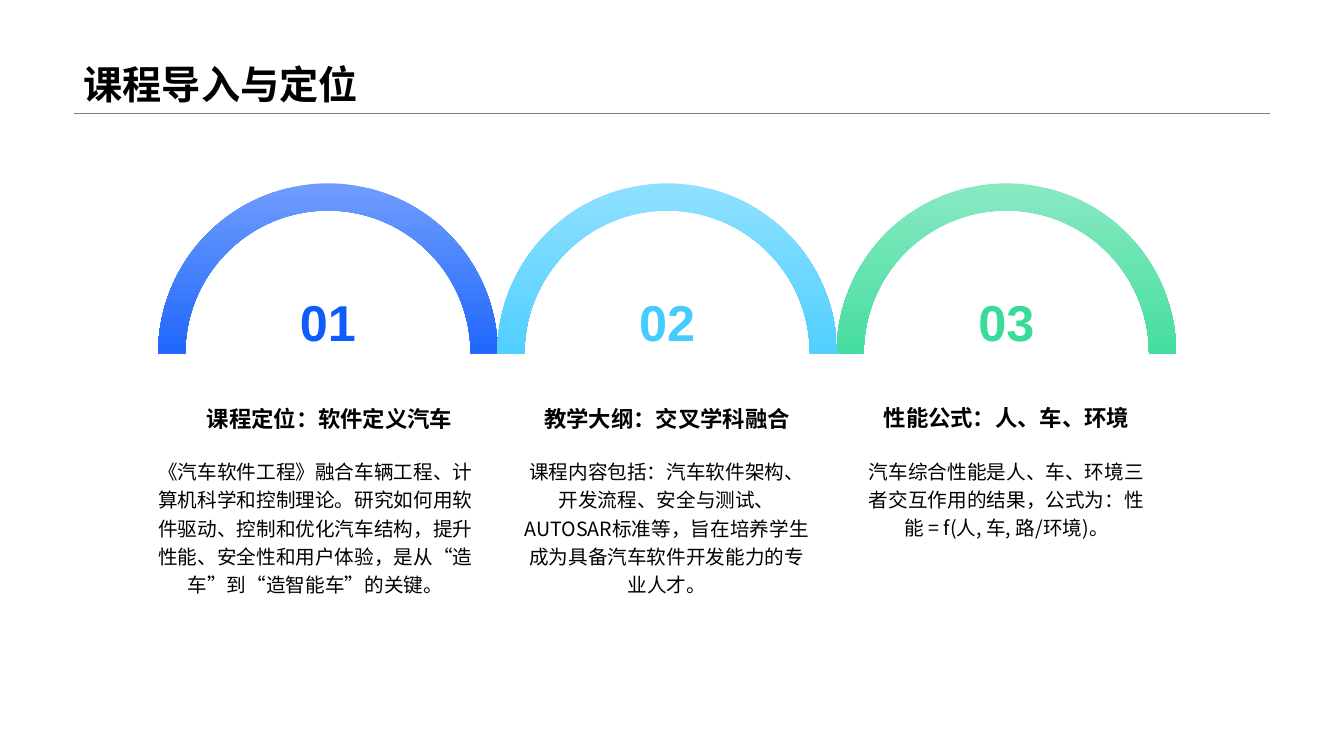
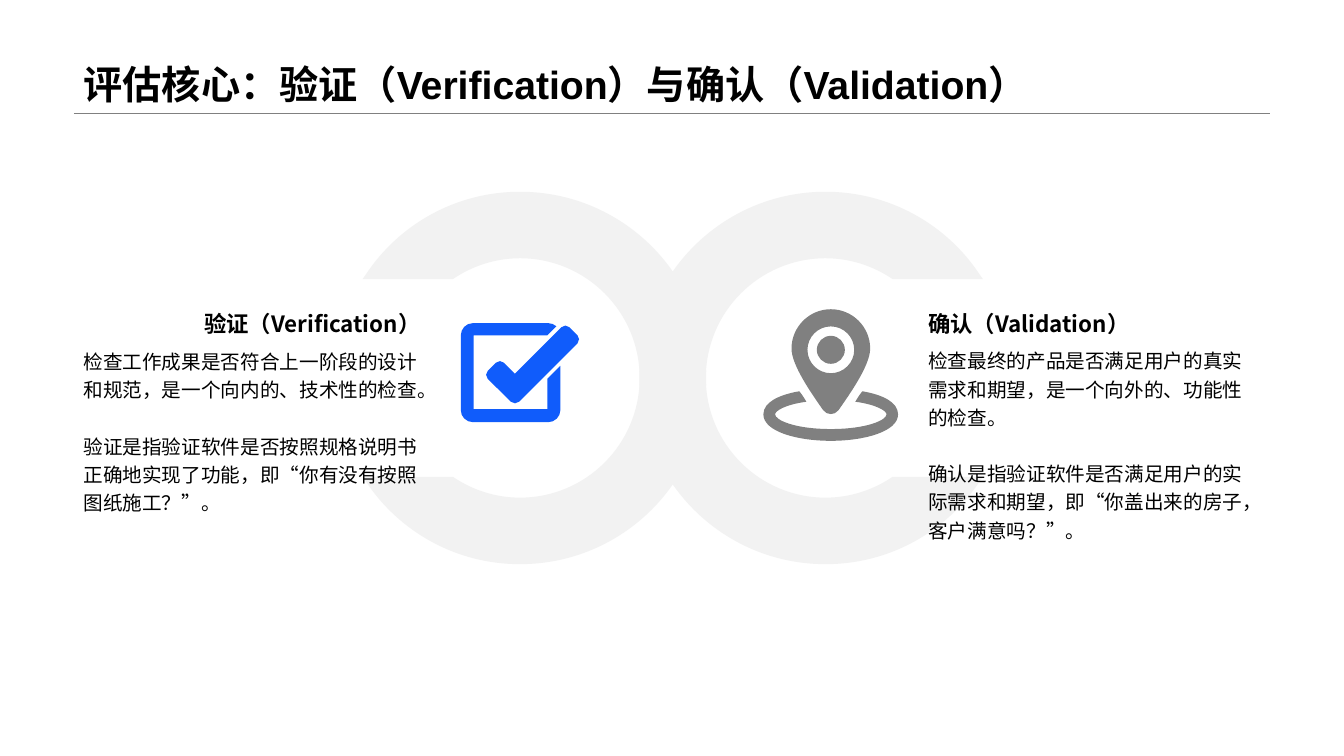
from lxml import etree
from pptx import Presentation
from pptx.dml.color import RGBColor
from pptx.enum import shapes as s, text as t
from pptx.oxml.ns import qn
from pptx.util import Pt

BLACK, GREY, PALE, BLUE = "000000", "808080", "F2F2F2", "105CFB"
LATIN, CHINESE = "Arial", "Noto Sans CJK SC"
MARGIN = 52.55
color = RGBColor.from_string
ALIGN, ANCHOR = t.PP_ALIGN, t.MSO_ANCHOR


def write_text(shape, paragraphs, size, name=CHINESE, fill=BLACK, bold=False, align=ALIGN.LEFT,
               anchor=ANCHOR.TOP, spacing=1.0, gap=0, wrap=True, fit=t.MSO_AUTO_SIZE.SHAPE_TO_FIT_TEXT):
    """Fill a shape with equally formatted paragraphs, gap points apart."""
    frame = shape.text_frame
    frame.word_wrap = wrap
    frame.auto_size = fit
    frame.vertical_anchor = anchor
    for index, words in enumerate(paragraphs):
        paragraph = frame.add_paragraph() if index else frame.paragraphs[0]
        paragraph.alignment = align
        paragraph.line_spacing = spacing
        paragraph.space_before = Pt(gap if index else 0)
        run = paragraph.add_run()
        run.text = words
        run.font.size = Pt(size)
        run.font.bold = bold
        run.font.name = name
        run.font.color.rgb = color(fill)
        east_asian = etree.SubElement(run.font._element, qn("a:ea"))
        east_asian.set("typeface", CHINESE)


def draw_outline(slide, contours, fill):
    """Draw closed contours; a pair is a corner, six numbers are a cubic curve."""
    builder = None
    for contour in contours:
        corners = [(Pt(step[-2]), Pt(step[-1])) for step in contour]
        if builder is None:
            builder = slide.shapes.build_freeform(*corners[0])
        else:
            builder.move_to(*corners[0])
        builder.add_line_segments(corners[1:], close=True)
    shape = builder.convert_to_shape()
    steps = [step for contour in contours for step in contour[1:]]
    segments = list(shape._element.iter(qn("a:lnTo")))
    for segment, step in zip(segments, steps):
        if len(step) == 6:
            curve = etree.Element(qn("a:cubicBezTo"))
            for x, y in zip(step[::2], step[1::2]):
                point = etree.SubElement(curve, qn("a:pt"))
                point.set("x", str(Pt(x) - shape.left))
                point.set("y", str(Pt(y) - shape.top))
            segment.getparent().replace(segment, curve)
    shape.shadow.inherit = False
    shape.fill.solid()
    shape.fill.fore_color.rgb = color(fill)
    shape.line.fill.background()


presentation = Presentation()
presentation.slide_width, presentation.slide_height = Pt(960), Pt(540)
layout = presentation.slide_layouts[5]

# Titles of both slides
slides = []
for title_text in ("课程导入与定位", "评估核心：验证（Verification）与确认（Validation）"):
    slide = presentation.slides.add_slide(layout)
    title = slide.shapes.title
    title.left, title.top, title.width, title.height = Pt(MARGIN), Pt(0), Pt(854.6), Pt(80.8)
    write_text(title, [title_text], 28, LATIN, bold=True, anchor=ANCHOR.BOTTOM, spacing=0.9,
               fit=t.MSO_AUTO_SIZE.NONE)
    slides.append(slide)
course, review = slides

# The rule below the title belongs to the layout
rule = course.shapes.add_connector(s.MSO_CONNECTOR.STRAIGHT, Pt(52.8), Pt(80.8), Pt(907.2), Pt(80.8))
rule.line.color.rgb = color(GREY)
rule.line.width = Pt(0.25)
etree.SubElement(rule._element.spPr, qn("a:effectLst"))
layout.shapes._spTree.append(rule._element)

# Slide 1: three arches with a numbered topic each
ARCH, PITCH = 242.6, 242.3
topics = [
    ("709DFD", BLUE, 124, 285.4, "课程定位：软件定义汽车", 104.1, 242.6, 321.7,
     "《汽车软件工程》融合车辆工程、计算机科学和控制理论。研究如何用软件驱动、控制和优化汽车结构，"
     "提升性能、安全性和用户体验，是从“造车”到“造智能车”的关键。"),
    ("8FE0FF", "44CCFF", 365, 285.4, "教学大纲：交叉学科融合", 365, 222.5, 321.7,
     "课程内容包括：汽车软件架构、开发流程、安全与测试、AUTOSAR标准等，"
     "旨在培养学生成为具备汽车软件开发能力的专业人才。"),
    ("88E9C2", "38DB99", 607.5, 285, "性能公式：人、车、环境", 607.7, 222.5, 321.3,
     "汽车综合性能是人、车、环境三者交互作用的结果，公式为：性能 = f(人, 车, 路/环境)。"),
]
for index, (light, strong, heading_left, heading_top, heading,
            body_left, body_width, body_top, body) in enumerate(topics):
    left = 113 + index * PITCH
    arch = course.shapes.add_shape(s.MSO_SHAPE.BLOCK_ARC, Pt(left), Pt(131), Pt(ARCH), Pt(ARCH))
    arch.shadow.inherit = False
    for position, value in enumerate((108, 0, 0.08)):
        arch.adjustments[position] = value
    arch.fill.gradient()
    arch.fill.gradient_angle = 270
    for stop, position, shade in zip(arch.fill.gradient_stops, (0, 0.6), (light, strong)):
        stop.position = position
        stop.color.rgb = color(shade)
    arch.line.fill.background()

    number = course.shapes.add_textbox(Pt(left + ARCH / 2 - 27.4), Pt(204), Pt(54.8), Pt(51))
    write_text(number, [f"{index + 1:02}"], 36, LATIN, strong, True, ALIGN.CENTER,
               ANCHOR.MIDDLE, wrap=False)
    heading_box = course.shapes.add_textbox(Pt(heading_left), Pt(heading_top), Pt(223), Pt(26.6))
    write_text(heading_box, [heading], 16, bold=True, align=ALIGN.CENTER, anchor=ANCHOR.BOTTOM)
    body_box = course.shapes.add_textbox(Pt(body_left), Pt(body_top), Pt(body_width), Pt(107.3))
    write_text(body_box, [body], 14, align=ALIGN.CENTER, spacing=1.2)

# Slide 2: two rings, each open towards its text; steps are offsets from the centre
ring = [(0, -133), (46, -133, 86.5, -109.5, 110, -74), (112.4, -70.6), (48.4, -70.6),
        (47.6, -70.8), (34, -80, 17.5, -85.5, 0, -85.5),
        (-47.2, -85.5, -85.5, -47.2, -85.5, 0), (-85.5, 47.2, -47.2, 85.5, 0, 85.5),
        (17.5, 85.5, 34, 80, 47.6, 70.8), (48.4, 70.6), (112.4, 70.6), (110, 74),
        (86.5, 109.5, 46, 133, 0, 133), (-73.5, 133, -133, 73.5, -133, 0),
        (-133, -73.5, -73.5, -133, 0, -133)]
for center_x, direction in ((589.7, 1), (371.4, -1)):
    placed = [[270 + value if axis % 2 else center_x + direction * value
               for axis, value in enumerate(step)] for step in ring]
    draw_outline(review, [placed], PALE)

tick = [(403.9, 232.6), (405, 232.6, 406, 233, 406.8, 233.8), (412.6, 239.6),
        (414, 241, 414, 243.6, 412.6, 245.2), (370.8, 287),
        (369.2, 288.5, 366.6, 288.5, 365, 287), (348.4, 270.6),
        (346.9, 269, 346.9, 266.5, 348.4, 265), (354.3, 259.1),
        (355.8, 257.6, 358.4, 257.6, 360, 259.1), (367.9, 267), (401, 233.8),
        (401.8, 233, 402.8, 232.6, 403.9, 232.6)]
check_frame = [(338, 230.8), (391.5, 230.8), (393.7, 230.8, 395.8, 231.7, 397.5, 233.1),
               (391, 239.6), (338.4, 239.6), (338.4, 292.3), (391, 292.3), (391, 270.7),
               (400.3, 261.4), (400.3, 293), (400.3, 297.7, 396.4, 301.6, 391.5, 301.6),
               (338, 301.6), (333, 301.6, 329.2, 297.7, 329.2, 293),
               (329.2, 239.6), (329.2, 234.8, 333, 230.8, 338, 230.8)]
draw_outline(review, [tick, check_frame], BLUE)

ground = [(571, 279.5), (573, 282, 574.6, 284.5, 576, 287),
          (561, 289, 553.7, 293.5, 553.7, 296), (553.7, 300, 567.5, 306.5, 593.5, 306.5),
          (619.5, 306.5, 633.3, 300, 633.3, 296), (633.3, 293.5, 626, 289, 611, 287),
          (612.4, 284.5, 614, 282, 616, 279.5), (630.5, 282, 641.5, 287.3, 641.5, 296),
          (641.5, 308.3, 617.5, 314.9, 593.5, 314.9), (569.5, 314.9, 545.3, 308.3, 545.3, 296),
          (545.3, 287.3, 556.5, 282, 571, 279.5)]
pin = [(593.5, 220.9), (609, 220.9, 621.6, 233.6, 621.6, 249), (621.6, 261, 607, 281.5, 599, 293),
       (597.5, 295, 595.5, 295.8, 593.5, 295.8), (591.5, 295.8, 589.5, 295, 588, 293),
       (580, 281.5, 565.4, 261, 565.4, 249), (565.4, 233.6, 578, 220.9, 593.5, 220.9)]
circles = []
for radius in (10, 16.7):
    x, y, handle = 593.5, 249.9, radius * 0.55
    circles.append([
        (x, y - radius),
        (x + handle, y - radius, x + radius, y - handle, x + radius, y),
        (x + radius, y + handle, x + handle, y + radius, x, y + radius),
        (x - handle, y + radius, x - radius, y + handle, x - radius, y),
        (x - radius, y - handle, x - handle, y - radius, x, y - radius)])
draw_outline(review, [ground, *circles, pin], GREY)

definitions = [
    (656, 252, 242.6, 148.3, ALIGN.LEFT, "确认（Validation）",
     ["检查最终的产品是否满足用户的真实需求和期望，是一个向外的、功能性的检查。",
      "确认是指验证软件是否满足用户的实际需求和期望，即“你盖出来的房子，客户满意吗？”。"]),
    (MARGIN, 254.9, 243, 127.4, ALIGN.RIGHT, "验证（Verification）",
     ["检查工作成果是否符合上一阶段的设计和规范，是一个向内的、技术性的检查。",
      "验证是指验证软件是否按照规格说明书正确地实现了功能，即“你有没有按照图纸施工？”。"]),
]
for left, width, body_top, height, align, heading, body in definitions:
    body_box = review.shapes.add_textbox(Pt(left), Pt(body_top), Pt(width), Pt(height))
    write_text(body_box, body, 14, spacing=1.2, gap=20.2)
    heading_box = review.shapes.add_textbox(Pt(left), Pt(217.4), Pt(width), Pt(26.6))
    write_text(heading_box, [heading], 16, bold=True, align=align, anchor=ANCHOR.BOTTOM)

presentation.save("out.pptx")
